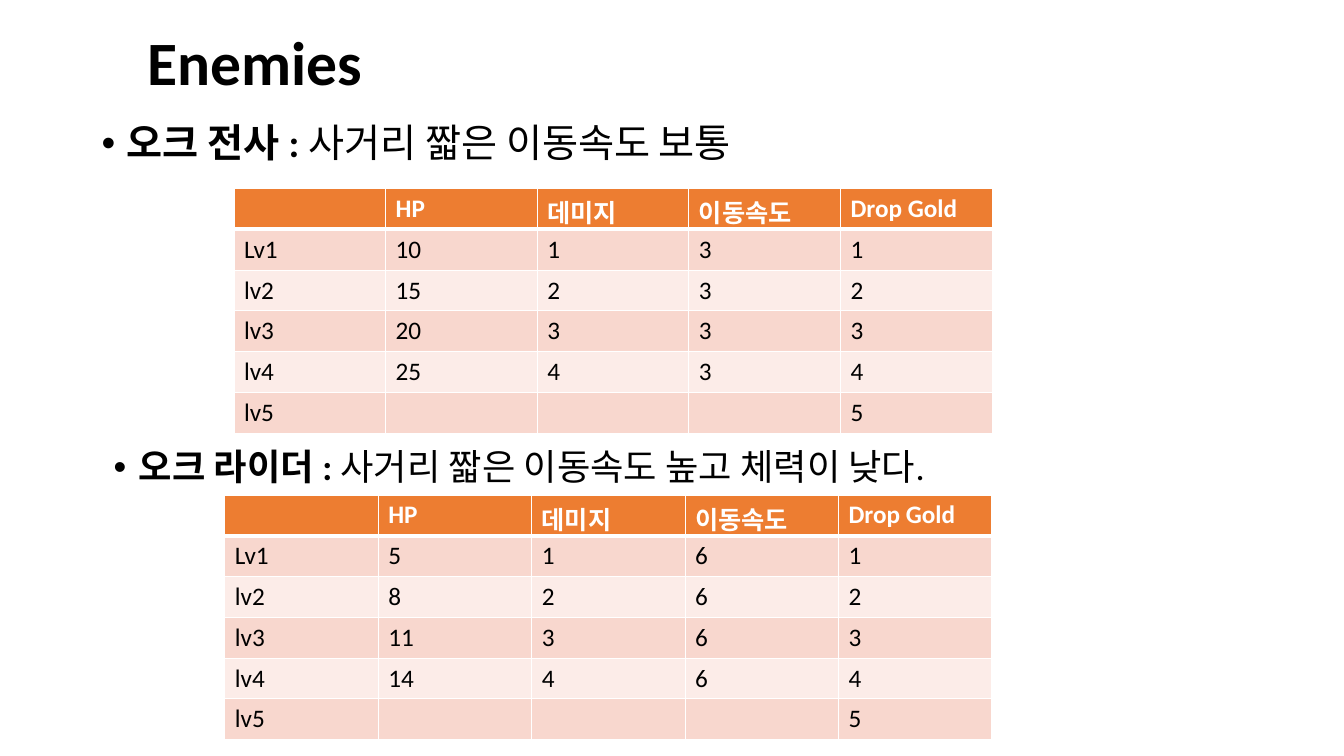
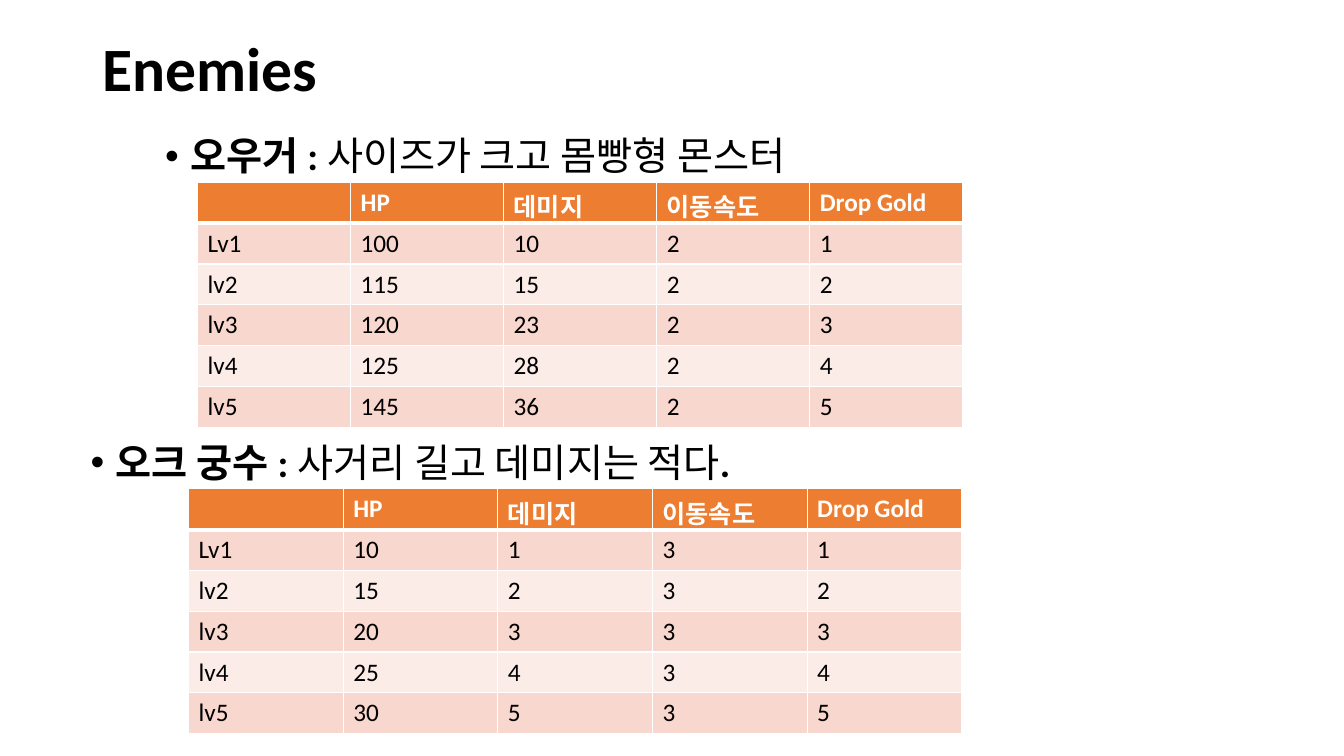
from lxml import etree
from pptx import Presentation
from pptx.dml.color import RGBColor
from pptx.enum.text import MSO_ANCHOR
from pptx.oxml.ns import qn
from pptx.util import Inches, Pt

MIDDLE, TOP = MSO_ANCHOR.MIDDLE, MSO_ANCHOR.TOP

# Shared content: every enemy has the same columns and levels
HEADINGS = ["", "HP", "데미지", "이동속도", "Drop Gold"]
LEVELS = ["Lv1", "lv2", "lv3", "lv4", "lv5"]
NO_STATS = ("", "", "")


def color(hex_string):
    return RGBColor.from_string(hex_string)


class EnemyDeck:
    FONT = "Calibri"
    TEXT, WHITE = "000000", "FFFFFF"
    HEADER, BANDS = "ED7D31", ("F8D7CE", "FCECE8")
    TABLE_HEIGHT = 2.43

    def __init__(self):
        self.presentation = Presentation()
        self.presentation.slide_width = Inches(13.33)
        self.presentation.slide_height = Inches(7.5)
        self.slide = None

    def add_slide(self):
        blank = self.presentation.slide_layouts[6]
        self.slide = self.presentation.slides.add_slide(blank)

    def style(self, font, size, hex_string, bold):
        font.name, font.size, font.bold = self.FONT, Pt(size), bold
        font.color.rgb = color(hex_string)

    def text_box(self, box, anchor):
        shape = self.slide.shapes.add_textbox(*map(Inches, box))
        frame = shape.text_frame
        frame.word_wrap = True
        frame.vertical_anchor = anchor
        paragraph = frame.paragraphs[0]
        paragraph.line_spacing = 0.9
        return paragraph

    def title(self, text, box):
        paragraph = self.text_box(box, MIDDLE)
        paragraph.text = text
        self.style(paragraph.font, 44, self.TEXT, True)

    def bullet(self, runs, box, size=28):
        """Each run is a (text, bold) pair."""
        paragraph = self.text_box(box, TOP)
        paragraph.space_before = Pt(10)
        properties = paragraph._p.get_or_add_pPr()
        properties.set("marL", str(Inches(0.25)))
        properties.set("indent", str(-Inches(0.25)))
        etree.SubElement(properties, qn("a:buFont"), typeface="Arial")
        etree.SubElement(properties, qn("a:buChar"), char="•")
        for text, bold in runs:
            run = paragraph.add_run()
            run.text = text
            self.style(run.font, size, self.TEXT, bold)

    def borders(self, cell, bottom):
        properties = cell._tc.get_or_add_tcPr()
        for side, width in (("L", 1), ("R", 1), ("T", 1), ("B", bottom)):
            line = etree.SubElement(properties, qn(f"a:ln{side}"), w=str(Pt(width)))
            fill = etree.SubElement(line, qn("a:solidFill"))
            etree.SubElement(fill, qn("a:srgbClr"), val=self.WHITE)

    def stats_table(self, stats, left, top, width):
        """stats holds HP, damage and speed per level; the gold equals the level."""
        rows = [HEADINGS]
        for number, (level, values) in enumerate(zip(LEVELS, stats), start=1):
            rows.append([level, *values, number])
        table = self.slide.shapes.add_table(
            len(rows), len(HEADINGS), Inches(left), Inches(top),
            Inches(width), Inches(self.TABLE_HEIGHT)).table
        for row_index, row in enumerate(rows):
            header = row_index == 0
            fill = self.HEADER if header else self.BANDS[(row_index - 1) % 2]
            for column_index, value in enumerate(row):
                cell = table.cell(row_index, column_index)
                cell.text = str(value)
                self.borders(cell, 3 if header else 1)
                cell.fill.solid()
                cell.fill.fore_color.rgb = color(fill)
                self.style(cell.text_frame.paragraphs[0].font, 18,
                           self.WHITE if header else self.TEXT, header)


def main():
    deck = EnemyDeck()
    archer_stats = [(10, 1, 3), (15, 2, 3), (20, 3, 3), (25, 4, 3), (30, 5, 3)]

    # Orc warrior and orc rider
    deck.add_slide()
    deck.title("Enemies", (1.36, -0.08, 7.28, 1.45))
    deck.bullet([("오크 전사 : ", True), ("사거리 짧은 이동속도 보통", False)],
                (0.91, 1.18, 7.94, 0.77))
    deck.stats_table([*archer_stats[:4], NO_STATS], 2.32, 1.87, 7.52)
    deck.bullet([("오크 라이더 : ", True),
                 ("사거리 짧은 이동속도 높고 체력이 낮다.", False)],
                (1.03, 4.41, 9.43, 0.77), size=25.9)
    deck.stats_table([(5, 1, 6), (8, 2, 6), (11, 3, 6), (14, 4, 6), NO_STATS],
                     2.23, 4.91, 7.61)

    # Ogre and orc archer
    deck.add_slide()
    deck.title("Enemies", (0.92, 0.27, 3.98, 0.88))
    deck.bullet([("오우거 : ", True), ("사이즈가 크고 몸빵형 몬스터", False)],
                (1.54, 1.31, 7.15, 0.77))
    deck.stats_table([(100, 10, 2), (115, 15, 2), (120, 23, 2),
                      (125, 28, 2), (145, 36, 2)], 1.96, 1.81, 7.59)
    deck.bullet([("오크 궁수 : ", True), ("사거리 길고 데미지는 적다", False),
                 (".", True)], (0.8, 4.35, 8.61, 0.77))
    deck.stats_table(archer_stats, 1.87, 4.85, 7.67)

    deck.presentation.save("out.pptx")


if __name__ == "__main__":
    main()
